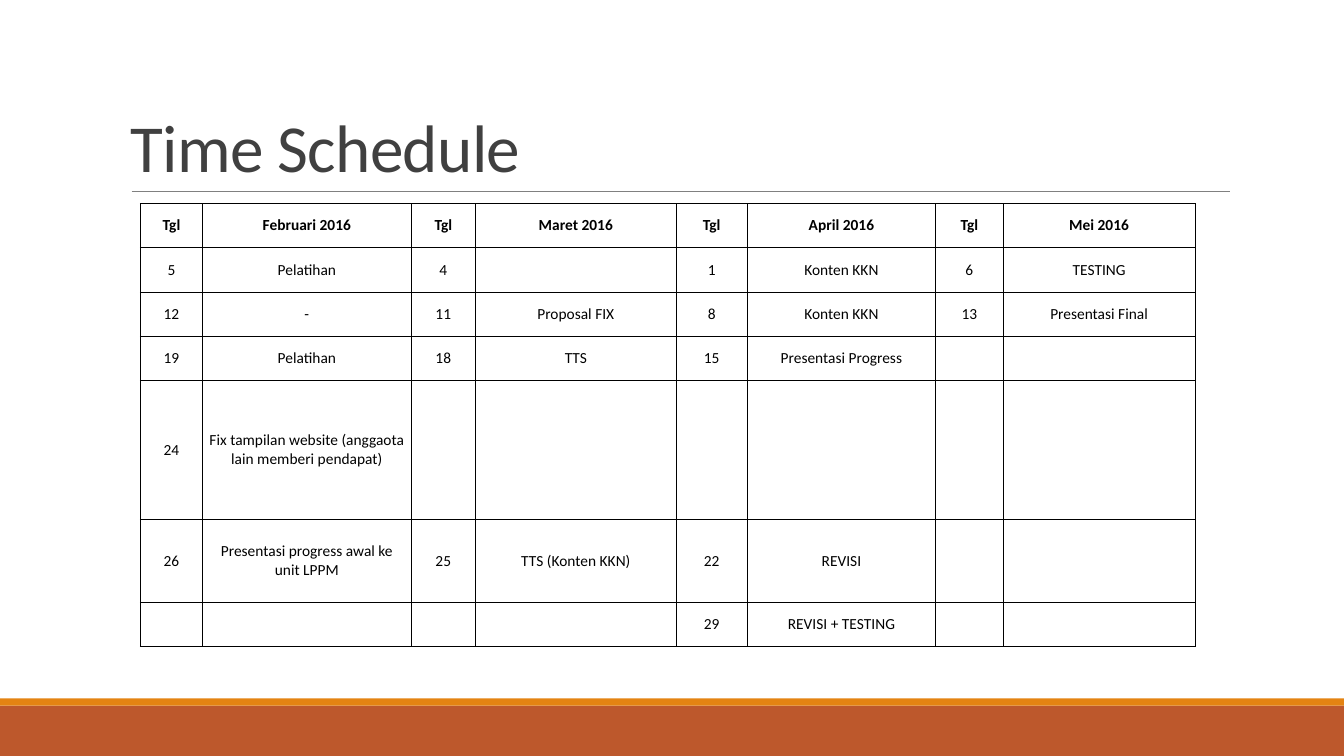
from lxml.etree import SubElement
from pptx import Presentation
from pptx.dml.color import RGBColor
from pptx.enum.shapes import MSO_CONNECTOR as Connector, MSO_SHAPE as Shape
from pptx.enum.text import MSO_ANCHOR as Anchor, PP_ALIGN as Align
from pptx.oxml.ns import qn
from pptx.util import Pt

SLIDE_WIDTH, SLIDE_HEIGHT = 960, 540
COLUMN_WIDTHS = [44.6, 148.8, 46.2, 143.2, 50.9, 134.5, 48.3, 137.1]
ROW_HEIGHTS = [31.6, 31.6, 31.6, 31.6, 99.7, 58.8, 31.6]
SCHEDULE = [
    ["Tgl", "Februari 2016", "Tgl", "Maret 2016", "Tgl", "April 2016", "Tgl", "Mei 2016"],
    ["5", "Pelatihan", "4", "", "1", "Konten KKN", "6", "TESTING"],
    ["12", "-", "11", "Proposal FIX", "8", "Konten KKN", "13", "Presentasi Final"],
    ["19", "Pelatihan", "18", "TTS", "15", "Presentasi Progress", "", ""],
    ["24", "Fix tampilan website (anggaota lain memberi pendapat)", "", "", "", "", "", ""],
    ["26", "Presentasi progress awal ke unit LPPM", "25", "TTS (Konten KKN)", "22", "REVISI", "", ""],
    ["", "", "", "", "29", "REVISI + TESTING", "", ""],
]


def color(value):
    """Turn a hex string into a colour."""
    return RGBColor.from_string(value)


def write_text(frame, text, size, fill="000000", bold=False, align=Align.LEFT,
               line_spacing=1.0, tracking=0):
    """Write one formatted paragraph into a text frame."""
    frame.word_wrap = True
    paragraph = frame.paragraphs[0]
    paragraph.alignment = align
    paragraph.line_spacing = line_spacing
    paragraph.font.size = Pt(size)
    if not text:
        return
    run = paragraph.add_run()
    run.text = text
    font = run.font
    font.name, font.size, font.bold = "Calibri", Pt(size), bold
    font.color.rgb = color(fill)
    if tracking:
        run._r.get_or_add_rPr().set("spc", str(round(tracking * 100)))


def add_band(slide, left, top, width, height, fill):
    """Draw a plain filled rectangle."""
    band = slide.shapes.add_shape(Shape.RECTANGLE, Pt(left), Pt(top), Pt(width), Pt(height))
    band.shadow.inherit = False
    band.fill.solid()
    band.fill.fore_color.rgb = color(fill)
    band.line.fill.background()


def add_footer(slide, left, top, width, height):
    """Draw the footer band with its thin accent strip on top."""
    strip = 5.2
    add_band(slide, left, top + strip, width, height - strip, "BD582C")
    add_band(slide, left, top, width, strip, "E48312")


def add_title(slide, left, top, width, height):
    """Place the title above its rule."""
    rule_left, rule_top = left + 7.7, top + height
    rule = slide.shapes.add_connector(Connector.STRAIGHT, Pt(rule_left), Pt(rule_top),
                                      Pt(rule_left + 784.8), Pt(rule_top))
    rule.line.color.rgb = color("808080")
    rule.line.width = Pt(0.5)
    SubElement(rule._element.spPr, qn("a:effectLst"))
    box = slide.shapes.add_textbox(Pt(left), Pt(top), Pt(width), Pt(height))
    box.text_frame.vertical_anchor = Anchor.BOTTOM
    write_text(box.text_frame, "Time Schedule", size=48, fill="404040",
               line_spacing=0.85, tracking=-0.5)


def add_borders(cell, width, fill):
    """Outline all four sides of a table cell."""
    properties = cell._tc.get_or_add_tcPr()
    for side in ("lnL", "lnR", "lnT", "lnB"):
        line = SubElement(properties, qn(f"a:{side}"), w=str(Pt(width)))
        solid = SubElement(line, qn("a:solidFill"))
        SubElement(solid, qn("a:srgbClr"), val=fill)


def add_schedule(slide, left, top, width, height):
    """Place the schedule table with a bold heading row."""
    table = slide.shapes.add_table(len(ROW_HEIGHTS), len(COLUMN_WIDTHS),
                                   Pt(left), Pt(top), Pt(width), Pt(height)).table
    table.first_row = table.horz_banding = False
    for column, column_width in zip(table.columns, COLUMN_WIDTHS):
        column.width = Pt(column_width)
    for row_index, (row, row_height) in enumerate(zip(table.rows, ROW_HEIGHTS)):
        row.height = Pt(row_height)
        for cell, text in zip(row.cells, SCHEDULE[row_index]):
            add_borders(cell, 0.75, "000000")
            cell.fill.background()
            cell.vertical_anchor = Anchor.MIDDLE
            cell.margin_left = cell.margin_right = Pt(3.6)
            cell.margin_top = cell.margin_bottom = Pt(2.2)
            write_text(cell.text_frame, text, size=11, bold=row_index == 0, align=Align.CENTER)


def main():
    """Build and save the schedule slide."""
    presentation = Presentation()
    presentation.slide_width, presentation.slide_height = Pt(SLIDE_WIDTH), Pt(SLIDE_HEIGHT)
    slide = presentation.slides.add_slide(presentation.slide_layouts[6])
    add_footer(slide, 0, 498.8, SLIDE_WIDTH, SLIDE_HEIGHT - 498.8)
    add_title(slide, 86.4, 22.6, 792, 114.2)
    add_schedule(slide, 100.2, 145.4, sum(COLUMN_WIDTHS), sum(ROW_HEIGHTS))
    presentation.save("out.pptx")


if __name__ == "__main__":
    main()
